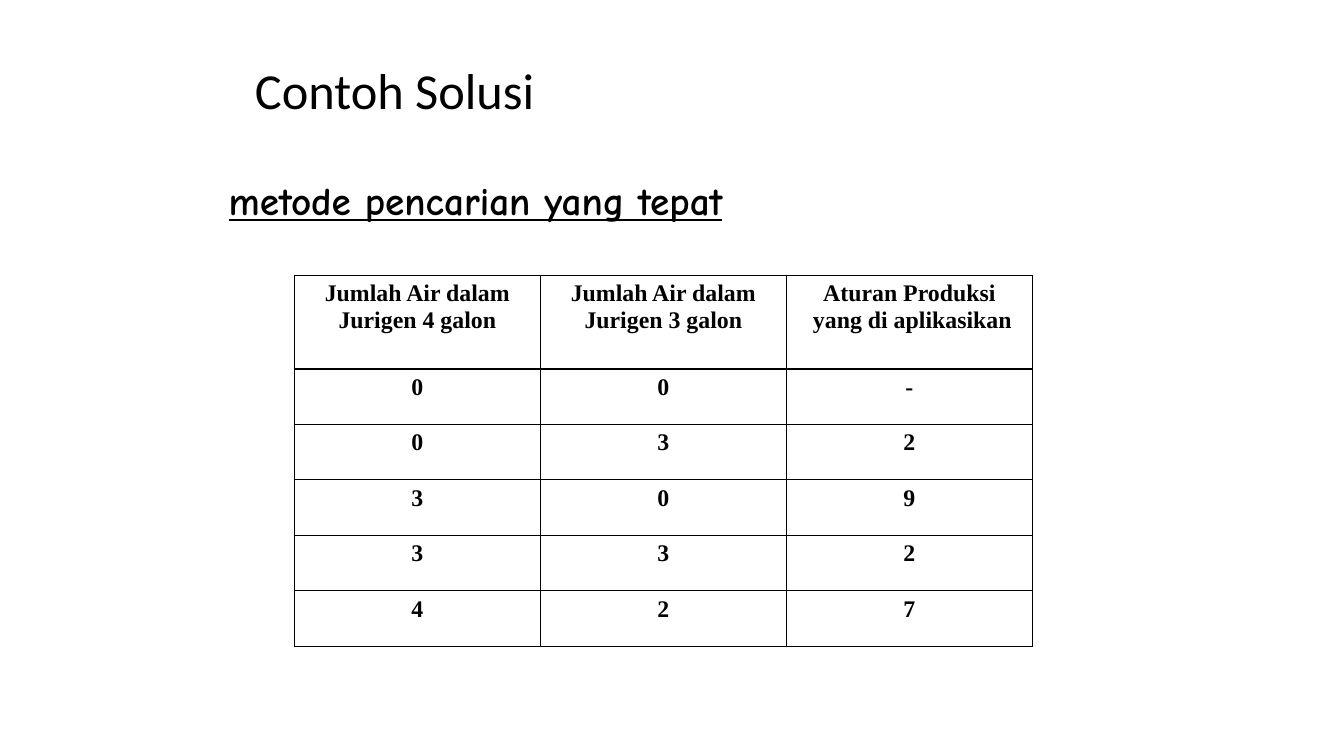
from dataclasses import dataclass

from lxml import etree
from pptx import Presentation
from pptx import util as u
from pptx.dml.color import RGBColor
from pptx.enum import text
from pptx.oxml import ns

EMU_PER_PX = 9144
COLOURS = {"ink": "000000", "paper": "FFFFFF"}
TABLE_FONT = "Times New Roman"
TABLE_LEFT, TABLE_TOP = 292, 273
COLUMN_WIDTH, HEADER_HEIGHT, ROW_HEIGHT = 244, 93, 55
ROWS = [
    ("Jumlah Air dalam Jurigen 4 galon", "Jumlah Air dalam Jurigen 3 galon",
     "Aturan Produksi\n yang di aplikasikan"),
    ("0", "0", "-"),
    ("0", "3", "2"),
    ("3", "0", "9"),
    ("3", "3", "2"),
    ("4", "2", "7"),
]


@dataclass
class Heading:
    wording: str
    left: int
    top: int
    width: int
    height: int
    font: str
    size: int
    emphasis: bool
    anchor: text.MSO_ANCHOR


HEADINGS = [
    Heading("Contoh Solusi", 243, 30, 874, 125, "Calibri", 36, False, text.MSO_ANCHOR.MIDDLE),
    Heading("metode pencarian yang tepat", 217, 175, 833, 64, "Comic Neue", 28, True,
            text.MSO_ANCHOR.TOP),
]


def px(length: int) -> u.Emu:
    return u.Emu(length * EMU_PER_PX)


def format_runs(paragraph, font: str, size: int, bold: bool, underline: bool = False) -> None:
    for run in paragraph.runs:
        run.font.name = font
        run.font.size = u.Pt(size)
        run.font.bold = bold
        run.font.underline = underline
        run.font.color.rgb = RGBColor.from_string(COLOURS["ink"])


def add_heading(slide, heading: Heading) -> None:
    shape = slide.shapes.add_textbox(px(heading.left), px(heading.top),
                                     px(heading.width), px(heading.height))
    frame = shape.text_frame
    frame.word_wrap = True
    frame.vertical_anchor = heading.anchor
    frame.text = heading.wording
    paragraph = frame.paragraphs[0]
    paragraph.line_spacing = 0.9
    format_runs(paragraph, heading.font, heading.size, heading.emphasis, heading.emphasis)


def add_borders(cell) -> None:
    properties = cell._tc.get_or_add_tcPr()
    for side in ("a:lnL", "a:lnR", "a:lnT", "a:lnB"):
        line = etree.SubElement(properties, ns.qn(side), w=str(u.Pt(1)))
        fill = etree.SubElement(line, ns.qn("a:solidFill"))
        etree.SubElement(fill, ns.qn("a:srgbClr"), val=COLOURS["ink"])


def add_solution_table(slide) -> None:
    column_count = len(ROWS[0])
    height = HEADER_HEIGHT + ROW_HEIGHT * (len(ROWS) - 1)
    table = slide.shapes.add_table(len(ROWS), column_count, px(TABLE_LEFT), px(TABLE_TOP),
                                   px(COLUMN_WIDTH * column_count), px(height)).table
    table.first_row = table.horz_banding = False
    for column in table.columns:
        column.width = px(COLUMN_WIDTH)
    for index, values in enumerate(ROWS):
        table.rows[index].height = px(ROW_HEIGHT if index else HEADER_HEIGHT)
        for cell, value in zip(table.rows[index].cells, values):
            add_borders(cell)
            cell.fill.solid()
            cell.fill.fore_color.rgb = RGBColor.from_string(COLOURS["paper"])
            cell.text_frame.text = value
            for paragraph in cell.text_frame.paragraphs:
                paragraph.alignment = text.PP_ALIGN.CENTER
                format_runs(paragraph, TABLE_FONT, 17, True)


def main() -> None:
    presentation = Presentation()
    presentation.slide_width, presentation.slide_height = px(1333), px(750)
    slide = presentation.slides.add_slide(presentation.slide_layouts[6])
    for heading in HEADINGS:
        add_heading(slide, heading)
    add_solution_table(slide)
    presentation.save("out.pptx")


if __name__ == "__main__":
    main()
